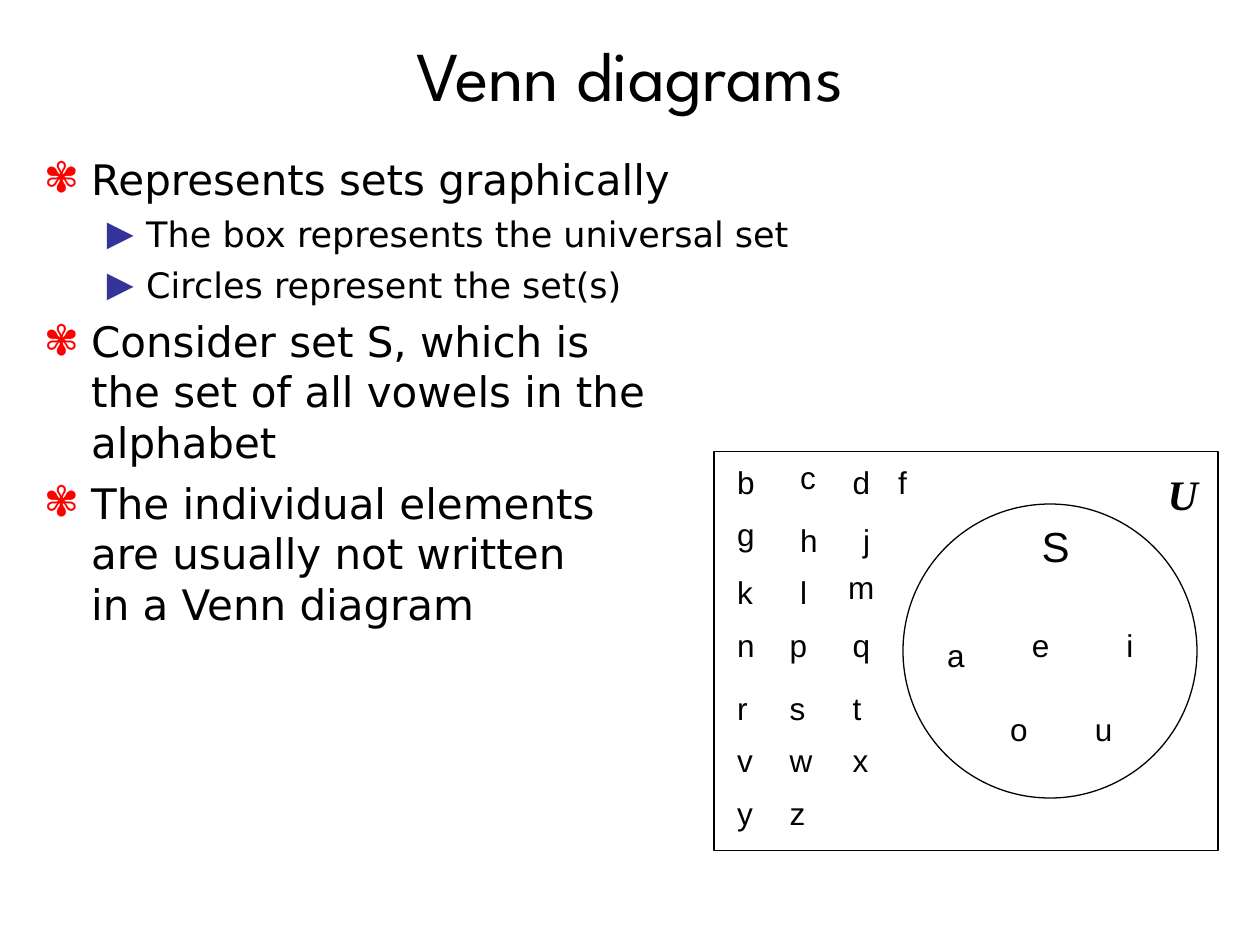
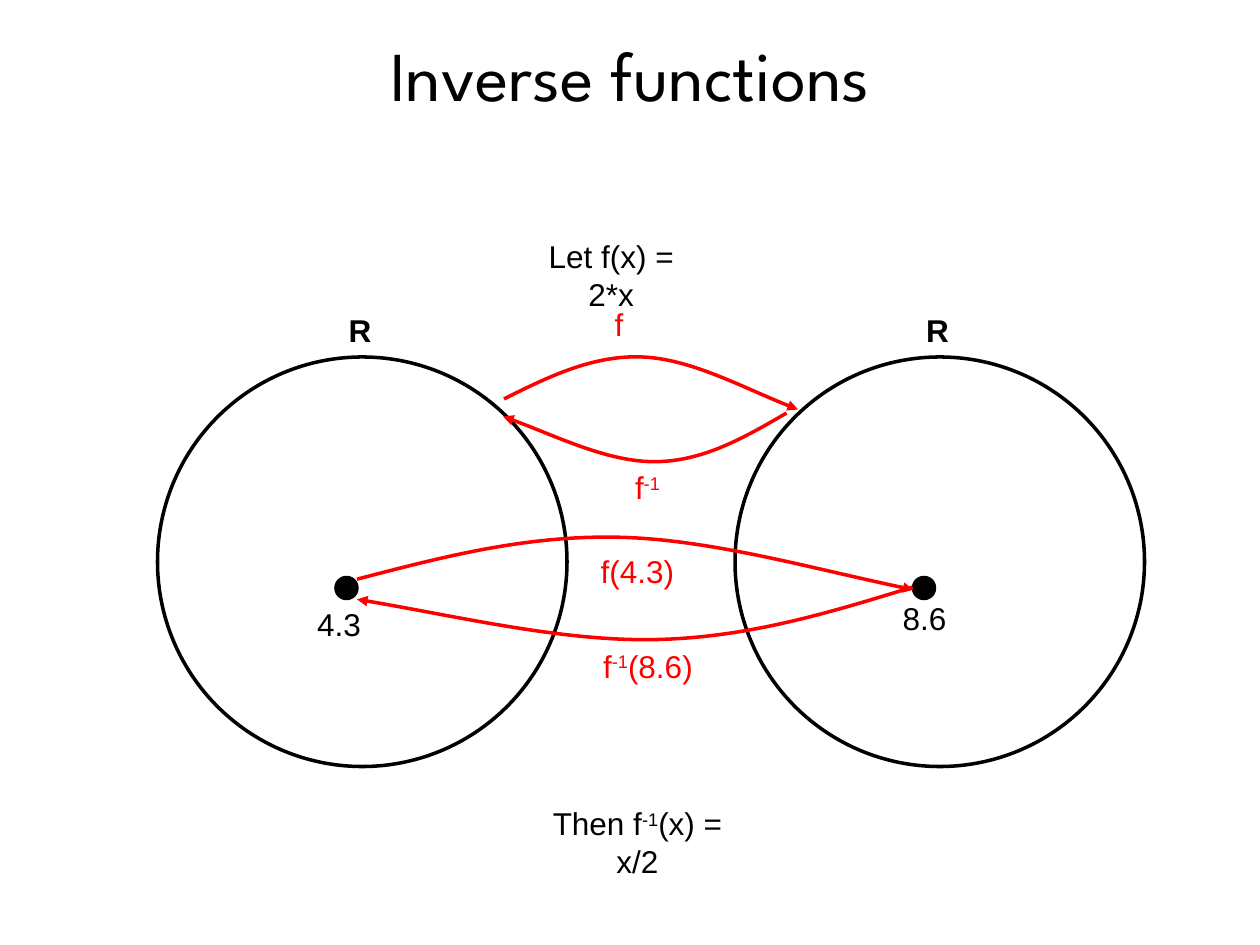
"""Build two slides on Venn diagrams and inverse functions."""
from dataclasses import dataclass

from lxml import etree
from pptx import Presentation
from pptx.dml.color import RGBColor
from pptx.enum.shapes import MSO_SHAPE
from pptx.enum.text import MSO_ANCHOR, MSO_AUTO_SIZE, PP_ALIGN
from pptx.oxml.ns import qn
from pptx.util import Pt

OVAL = MSO_SHAPE.OVAL
RECT = MSO_SHAPE.RECTANGLE
MIDDLE = MSO_ANCHOR.MIDDLE
GROW = MSO_AUTO_SIZE.SHAPE_TO_FIT_TEXT
CENTER = PP_ALIGN.CENTER


@dataclass(frozen=True)
class Theme:
    ink: str = "000000"
    red: str = "FF0000"
    blue: str = "333399"
    head: str = "League Spartan"
    body: str = "DejaVu Sans"
    note: str = "Arial"
    serif: str = "Times New Roman"
    title: int = 40
    large: int = 24
    mid: int = 20
    small: int = 18
    thin: float = 0.75
    thick: float = 2


LEVELS = (
    dict(mark="✾", tint="red", size="large", left=27, hang=27, gap=6),
    dict(mark="▶", tint="blue", size="mid", left=58.5, hang=22.5, gap=5),
)
POINTS = (
    (0, "Represents sets graphically"),
    (1, "The box represents the universal set"),
    (1, "Circles represent the set(s)"),
    (0, "Consider set S, which is \nthe set of all vowels in the\nalphabet"),
    (0, "The individual elements \nare usually not written \nin a Venn diagram"),
)
WIDTHS = {"ijl": 18.4, "ft": 19.4, "r": 20.4, "cksvxyz": 23.4,
          "abdeghnopqu": 24.4, "w": 27.4, "m": 29.4}
LETTERS = (
    ("c", 258, (450,)),
    ("bdf", 261, (414, 480, 506)),
    ("g", 291, (414,)),
    ("hj", 294, (450, 486)),
    ("m", 321, (477.5,)),
    ("kl", 324, (414, 450)),
    ("npqei", 354, (414, 444, 480, 582.5, 636.5)),
    ("a", 360, (534,)),
    ("rst", 390, (414, 444, 480)),
    ("ou", 402, (570, 618.5)),
    ("vwx", 420, (414, 444, 480)),
    ("yz", 450, (414, 444)),
)
ARROWS = (
    ((288, 228), (313, 215.5), (338.5, 203), (366.5, 204),
     (394.5, 205), (427, 223), (456, 234)),
    ((449.5, 236), (425.5, 250), (402, 263.5), (375, 263.8),
     (348, 264.2), (315.5, 248), (287.5, 238)),
    ((204, 331), (252, 318.5), (299.5, 306), (352.5, 307),
     (405.5, 308), (467.5, 326), (522, 337)),
    ((521.5, 335.5), (474.5, 350), (427, 364.5), (374, 365.5),
     (321, 366.5), (258.5, 351.5), (204, 342.5)),
)
LABELS = (
    ("Let f(x) = 2*x", 291, 132, 116.5, "ink"),
    ("f", 344, 170.5, 19.4, "red"),
    ("f-1", 355.5, 264, 29, "red"),
    ("f(4.3)", 336, 312, 56.5, "red"),
    ("f-1(8.6)", 337.5, 366, 65.5, "red"),
    ("4.3", 174, 342, 39.5, "ink"),
    ("8.6", 508.5, 339, 39.5, "ink"),
    ("Then f-1(x) = x/2", 294.5, 456, 139.5, "ink"),
)


class Deck:
    def __init__(self, theme):
        self.theme = theme
        self.file = Presentation()
        self.file.slide_width = Pt(720)
        self.file.slide_height = Pt(540)
        self.page = None

    def tone(self, name):
        return RGBColor.from_string(getattr(self.theme, name))

    def style(self, run, face, size, tint="ink", bold=False, slant=False):
        font = run.font
        font.name = getattr(self.theme, face)
        font.size = Pt(getattr(self.theme, size))
        font.color.rgb = self.tone(tint)
        font.bold, font.italic = bold, slant

    def frame(self, x, y, w, h):
        box = self.page.shapes.add_textbox(Pt(x), Pt(y), Pt(w), Pt(h))
        box.text_frame.word_wrap = True
        return box.text_frame

    def start(self, text):
        self.page = self.file.slides.add_slide(self.file.slide_layouts[6])
        frame = self.frame(18, 12, 684, 60)
        frame.vertical_anchor = MIDDLE
        frame.text = text
        para = frame.paragraphs[0]
        para.alignment = CENTER
        self.style(para.runs[0], "head", "title")

    def bullets(self, items):
        frame = self.frame(18, 84, 684, 404)
        for num, (depth, text) in enumerate(items):
            para = frame.add_paragraph() if num else frame.paragraphs[0]
            look = LEVELS[depth]
            para.text = text
            para.level = depth
            para.space_before = Pt(look["gap"])
            for run in para.runs:
                self.style(run, "body", look["size"])
            props = para._p.get_or_add_pPr()
            props.set("marL", str(Pt(look["left"])))
            props.set("indent", str(-Pt(look["hang"])))
            tint = etree.SubElement(props, qn("a:buClr"))
            etree.SubElement(tint, qn("a:srgbClr"),
                             val=getattr(self.theme, look["tint"]))
            etree.SubElement(props, qn("a:buFont"), typeface=self.theme.body)
            etree.SubElement(props, qn("a:buChar"), char=look["mark"])

    def label(self, text, x, y, w, tint="ink", face="note", size="small",
              **traits):
        frame = self.frame(x, y, w, getattr(self.theme, size) * 1.2 + 7.2)
        frame.word_wrap = False
        frame.auto_size = GROW
        para = frame.paragraphs[0]
        para.alignment = CENTER
        for part in filter(None, text.partition("-1")):
            run = para.add_run()
            run.text = part
            self.style(run, face, size, tint, **traits)
            if part == "-1":
                run._r.get_or_add_rPr().set("baseline", "30000")

    def trim(self, shape, weight, tint="ink", solid=False):
        shape.shadow.inherit = False
        shape.line.color.rgb = self.tone(tint)
        shape.line.width = Pt(getattr(self.theme, weight))
        if solid:
            shape.fill.solid()
            shape.fill.fore_color.rgb = self.tone(tint)
        else:
            shape.fill.background()

    def shape(self, kind, x, y, w, h, weight="thin", solid=False):
        item = self.page.shapes.add_shape(kind, Pt(x), Pt(y), Pt(w), Pt(h))
        self.trim(item, weight, solid=solid)

    def arrow(self, points):
        spots = [(Pt(x), Pt(y)) for x, y in points]
        pen = self.page.shapes.build_freeform(*spots[0])
        pen.add_line_segments(spots[1:], close=False)
        curve = pen.convert_to_shape()
        self.trim(curve, "thick", "red")
        route = next(curve._element.iter(qn("a:path")))
        legs = route.findall(qn("a:lnTo"))
        for num in range(0, len(legs), 3):
            bend = etree.SubElement(route, qn("a:cubicBezTo"))
            for leg in legs[num:num + 3]:
                bend.append(leg[0])
                route.remove(leg)
        edge = curve.line._get_or_add_ln()
        etree.SubElement(edge, qn("a:tailEnd"), type="triangle")


def venn(deck):
    deck.start("Venn diagrams")
    deck.bullets(POINTS)
    deck.shape(RECT, 408, 258, 288, 228)
    deck.shape(OVAL, 516, 288, 168, 168)
    deck.label("U", 660, 264, 31.7, face="serif", size="large",
               bold=True, slant=True)
    deck.label("S", 588, 294, 30.4, size="large")
    wide = {char: w for group, w in WIDTHS.items() for char in group}
    for row, y, lefts in LETTERS:
        for char, x in zip(row, lefts):
            deck.label(char, x, y, wide[char])


def inverse(deck):
    deck.start("Inverse functions")
    for x in (90, 420):
        deck.shape(OVAL, x, 204, 234, 234, "thick")
        deck.label("R", x + 102, 174, 27.4, bold=True)
        deck.shape(OVAL, x + 102, 330, 12, 12, "thick", solid=True)
    for points in ARROWS:
        deck.arrow(points)
    for item in LABELS:
        deck.label(*item)


def main():
    deck = Deck(Theme())
    venn(deck)
    inverse(deck)
    deck.file.save("out.pptx")


if __name__ == "__main__":
    main()
